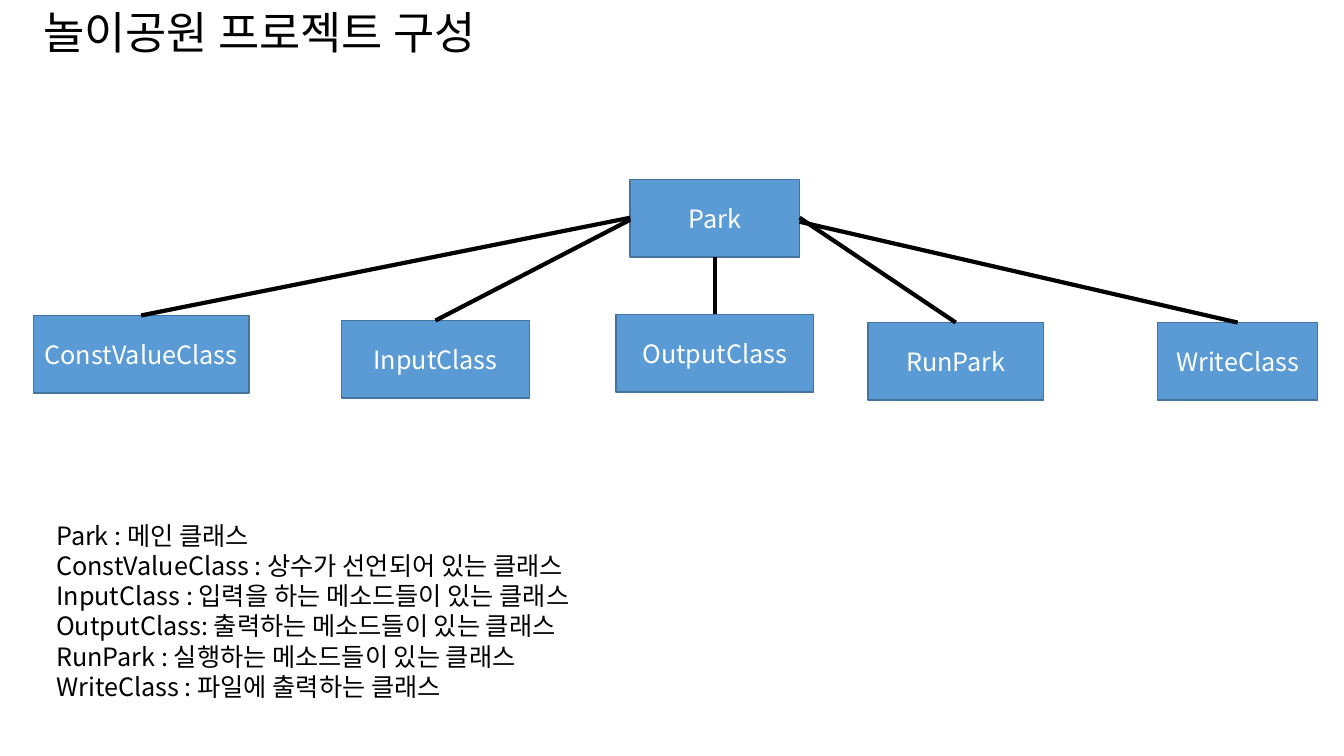
import pptx
import pptx.util
from lxml import etree
from pptx.dml.color import RGBColor
from pptx.enum.shapes import MSO_CONNECTOR, MSO_SHAPE
from pptx.enum.text import MSO_ANCHOR, MSO_AUTO_SIZE, PP_ALIGN
from pptx.oxml.ns import qn

FONT = "Noto Sans CJK KR"
BLACK = RGBColor(0x00, 0x00, 0x00)
WHITE = RGBColor(0xFF, 0xFF, 0xFF)
BLUE = RGBColor(0x5B, 0x9B, 0xD5)
EDGE = RGBColor(0x43, 0x73, 0x9E)

prs = pptx.Presentation()
prs.slide_width = pptx.util.Inches(13.33)
prs.slide_height = pptx.util.Inches(7.5)
s = prs.slides.add_slide(prs.slide_layouts[6])


def place(x, y, w, h):
    """Turn percentages of the slide's width and height into lengths."""
    W, H = prs.slide_width / 100, prs.slide_height / 100
    return [round(v) for v in (x * W, y * H, w * W, h * H)]


def write(sp, lines, size, color, align=PP_ALIGN.LEFT):
    tf = sp.text_frame
    tf.word_wrap = True
    tf.text = "\n".join(lines)
    for p in tf.paragraphs:
        p.alignment = align
        p.font.size = pptx.util.Pt(size)
        p.font.color.rgb = color
        p.font.name = FONT
        # Hangul takes the East Asian typeface
        def_rpr = p._p.pPr.find(qn("a:defRPr"))
        etree.SubElement(def_rpr, qn("a:ea")).set("typeface", FONT)


# Title and class descriptions
texts = [
    ((2.48, 0, 87.77, 8.53), 32, ["놀이공원 프로젝트 구성"]),
    ((3.45, 68.13, 73.67, 25.6), 18, [
        "Park : 메인 클래스",
        "ConstValueClass : 상수가 선언되어 있는 클래스",
        "InputClass : 입력을 하는 메소드들이 있는 클래스",
        "OutputClass: 출력하는 메소드들이 있는 클래스",
        "RunPark : 실행하는 메소드들이 있는 클래스",
        "WriteClass : 파일에 출력하는 클래스",
    ]),
]
for box, size, lines in texts:
    sp = s.shapes.add_textbox(*place(*box))
    write(sp, lines, size, BLACK)
    sp.text_frame.auto_size = MSO_AUTO_SIZE.SHAPE_TO_FIT_TEXT

# Class boxes: name, left, top, width
BOX_H = 10.27
PARK_X, PARK_Y, PARK_W = 46.89, 23.73, 12.6
PARK_R, PARK_MID = PARK_X + PARK_W, PARK_X + PARK_W / 2
children = [
    ("ConstValueClass", 2.48, 41.73, 16.05),
    ("InputClass", 25.43, 42.4, 13.95),
    ("OutputClass", 45.84, 41.6, 14.7),
    ("RunPark", 64.59, 42.67, 13.05),
    ("WriteClass", 86.12, 42.67, 11.93),
]
for name, x, y, w in [("Park", PARK_X, PARK_Y, PARK_W)] + children:
    sp = s.shapes.add_shape(MSO_SHAPE.RECTANGLE, *place(x, y, w, BOX_H))
    sp.shadow.inherit = False
    sp.fill.solid()
    sp.fill.fore_color.rgb = BLUE
    sp.line.color.rgb = EDGE
    sp.line.width = pptx.util.Pt(1)
    sp.text_frame.vertical_anchor = MSO_ANCHOR.MIDDLE
    write(sp, [name], 18, WHITE, PP_ALIGN.CENTER)

# Lines from the edge of Park to the top centre of each child
starts = [(PARK_X, 28.8), (PARK_X, 29.07), (PARK_MID, PARK_Y + BOX_H),
          (PARK_R, 28.8), (PARK_R, 29.33)]
for start, (name, x, y, w) in zip(starts, children):
    line = s.shapes.add_connector(MSO_CONNECTOR.STRAIGHT,
                                  *place(*start, x + w / 2, y))
    line.line.color.rgb = BLACK
    line.line.width = pptx.util.Pt(3)
    etree.SubElement(line._element.spPr, qn("a:effectLst"))

prs.save("out.pptx")
